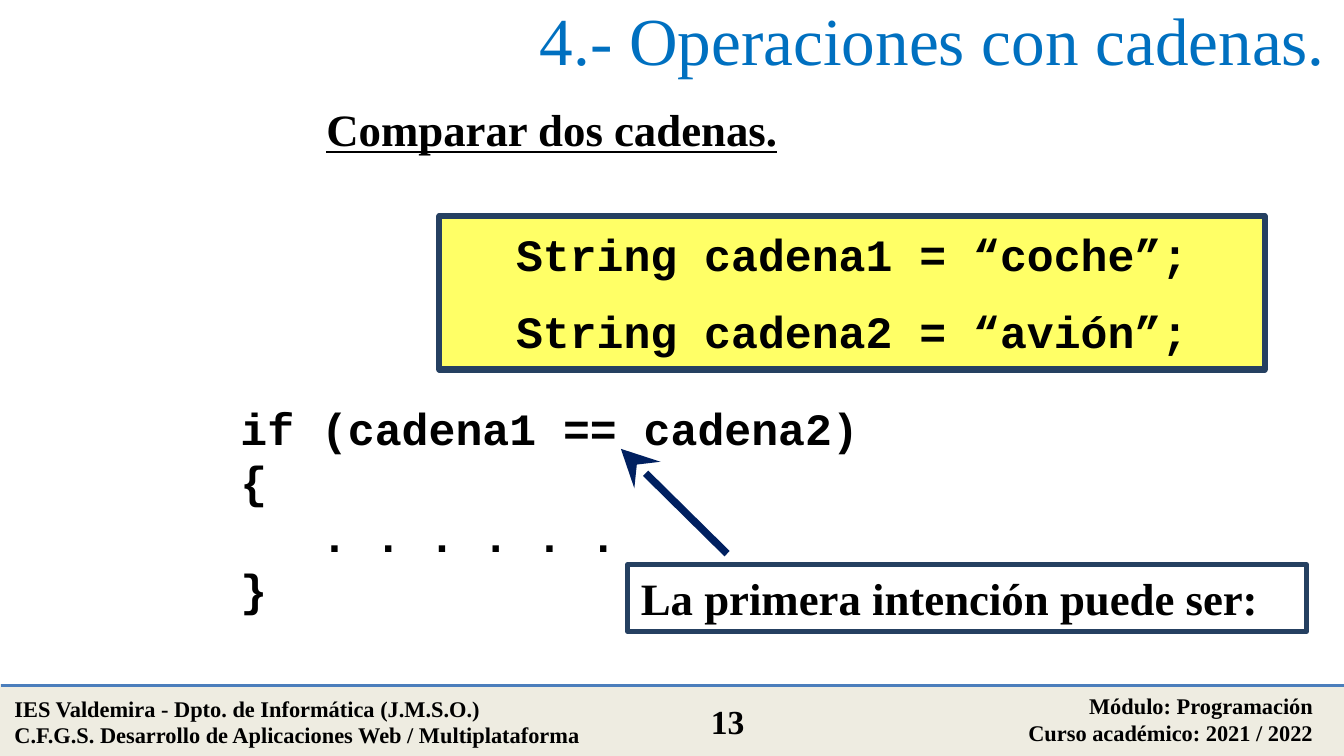
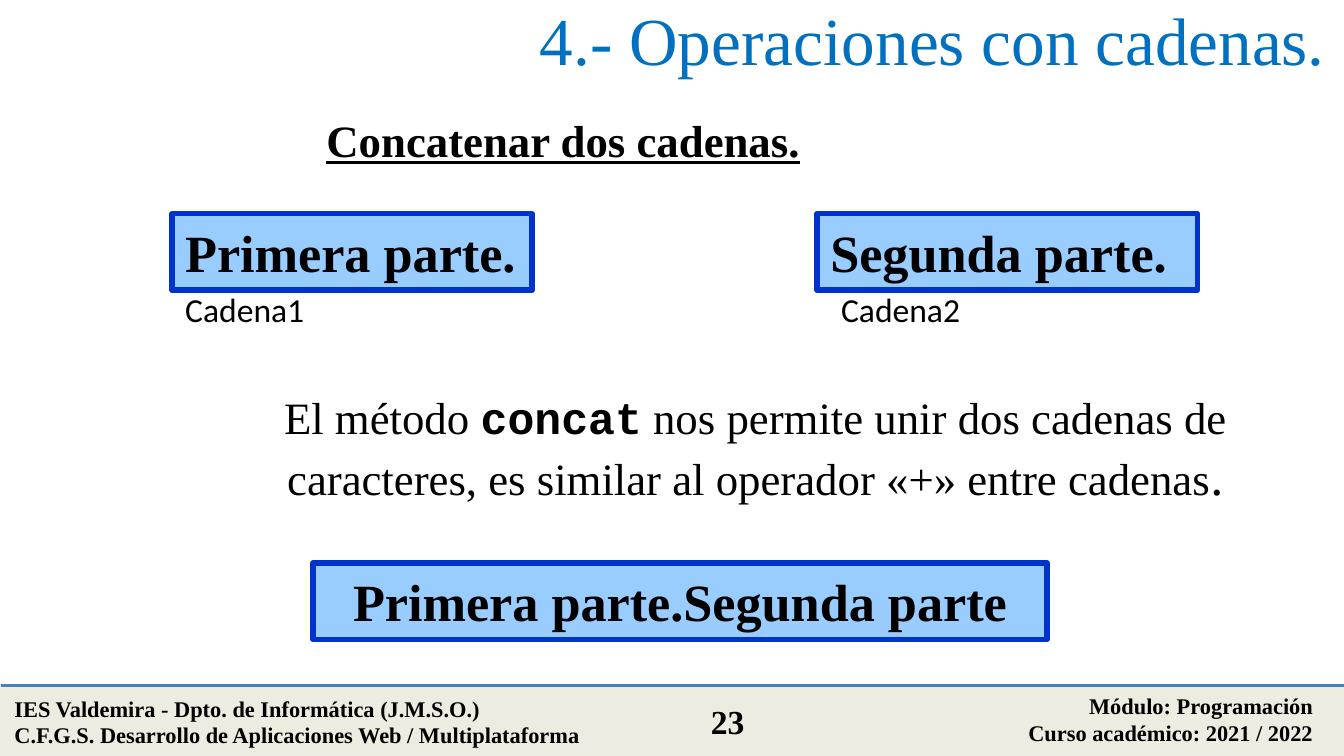
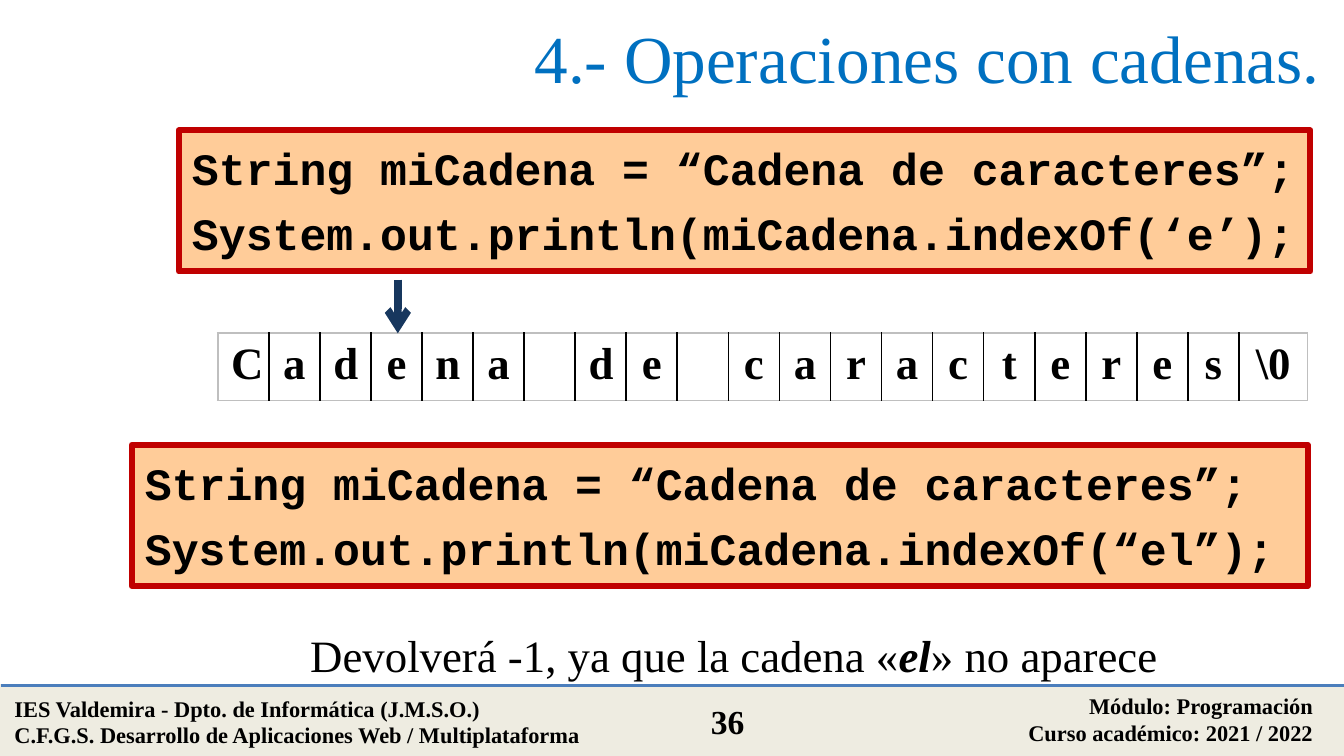
from dataclasses import dataclass
from typing import Optional

from lxml import etree
from pptx import Presentation
from pptx.dml.color import RGBColor
from pptx.enum.shapes import MSO_CONNECTOR, MSO_SHAPE
from pptx.enum.text import MSO_ANCHOR, MSO_AUTO_SIZE, PP_ALIGN
from pptx.oxml.ns import qn
from pptx.util import Inches, Pt

RECTANGLE = MSO_SHAPE.RECTANGLE
STRAIGHT = MSO_CONNECTOR.STRAIGHT
LEFT, CENTER, RIGHT, JUSTIFY = PP_ALIGN.LEFT, PP_ALIGN.CENTER, PP_ALIGN.RIGHT, PP_ALIGN.JUSTIFY
TOP, MIDDLE = MSO_ANCHOR.TOP, MSO_ANCHOR.MIDDLE
GROW, FIXED = MSO_AUTO_SIZE.SHAPE_TO_FIT_TEXT, MSO_AUTO_SIZE.NONE

BLACK = RGBColor(0x00, 0x00, 0x00)
GREY = RGBColor(0xBF, 0xBF, 0xBF)
TITLE_BLUE = RGBColor(0x00, 0x70, 0xC0)
BAND_BEIGE = RGBColor(0xEE, 0xEC, 0xE1)
RULE_BLUE = RGBColor(0x4B, 0x7E, 0xBC)
STEEL = RGBColor(0x25, 0x40, 0x61)
YELLOW = RGBColor(0xFF, 0xFF, 0x66)
NAVY = RGBColor(0x00, 0x20, 0x60)
SKY = RGBColor(0x99, 0xCC, 0xFF)
ROYAL = RGBColor(0x00, 0x33, 0xCC)
PEACH = RGBColor(0xFF, 0xCC, 0x99)
RED = RGBColor(0xC0, 0x00, 0x00)
DEEP_BLUE = RGBColor(0x17, 0x37, 0x5E)

SERIF, MONO, SANS = "Times New Roman", "Courier New", "Calibri"
TITLE = "4.- Operaciones con cadenas."


@dataclass(frozen=True)
class Span:
    text: str
    size: float = 24
    font: str = SERIF
    bold: bool = False
    italic: bool = False
    underline: bool = False
    color: RGBColor = BLACK


@dataclass(frozen=True)
class Para:
    spans: tuple[Span, ...]
    align: PP_ALIGN = LEFT
    before: float = 0
    indent: float = 0


@dataclass(frozen=True)
class Frame:
    left: float
    top: float
    width: float
    height: float


@dataclass(frozen=True)
class Style:
    fill: Optional[RGBColor]
    line: RGBColor
    weight: float
    inset: float = 0.05


DECLARATION = Style(YELLOW, STEEL, 3.25, 0.08)
REMARK = Style(None, STEEL, 2.5)
STRING_BOX = Style(SKY, ROYAL, 3)
CODE_BOX = Style(PEACH, RED, 3.25, 0.08)
BAND = Style(BAND_BEIGE, BAND_BEIGE, 2)


def line_of(text: str, size: float = 24, font: str = SERIF, bold: bool = True,
            align: PP_ALIGN = LEFT, before: float = 0, indent: float = 0,
            underline: bool = False, color: RGBColor = BLACK) -> Para:
    span = Span(text, size, font, bold, underline=underline, color=color)
    return Para((span,), align, before, indent)


def write(text_frame, paras: list[Para]) -> None:
    for number, para in enumerate(paras):
        target = text_frame.add_paragraph() if number else text_frame.paragraphs[0]
        target.alignment = para.align
        target.space_before = Pt(para.before)
        if para.indent:
            target._p.get_or_add_pPr().set("marL", str(Inches(para.indent)))
        for span in para.spans:
            run = target.add_run()
            run.text = span.text
            run.font.size = Pt(span.size)
            run.font.name = span.font
            run.font.bold = span.bold
            run.font.italic = span.italic
            run.font.underline = span.underline
            run.font.color.rgb = span.color


def place(frame: Frame) -> tuple:
    return Inches(frame.left), Inches(frame.top), Inches(frame.width), Inches(frame.height)


def add_text(page, frame: Frame, paras: list[Para], anchor=TOP, sizing=GROW) -> None:
    text_frame = page.shapes.add_textbox(*place(frame)).text_frame
    text_frame.word_wrap = True
    text_frame.auto_size = sizing
    text_frame.vertical_anchor = anchor
    write(text_frame, paras)


def add_box(page, frame: Frame, style: Style, paras: list[Para]) -> None:
    box = page.shapes.add_shape(RECTANGLE, *place(frame))
    box.shadow.inherit = False
    if style.fill is None:
        box.fill.background()
    else:
        box.fill.solid()
        box.fill.fore_color.rgb = style.fill
    box.line.color.rgb = style.line
    box.line.width = Pt(style.weight)
    if paras:
        text_frame = box.text_frame
        text_frame.word_wrap = True
        text_frame.auto_size = GROW
        text_frame.vertical_anchor = TOP
        text_frame.margin_top = text_frame.margin_bottom = Inches(style.inset)
        write(text_frame, paras)


def add_line(page, start: tuple[float, float], end: tuple[float, float],
             color: RGBColor, weight: float, head: str = "", head_size: str = "med") -> None:
    line = page.shapes.add_connector(STRAIGHT, *map(Inches, start + end))
    line.line.color.rgb = color
    line.line.width = Pt(weight)
    if head:
        etree.SubElement(line.line._get_or_add_ln(), qn("a:tailEnd"),
                         type=head, w=head_size, len=head_size)
    etree.SubElement(line._element.spPr, qn("a:effectLst"))


def set_border(cell, position: int, side: str, color: RGBColor) -> None:
    border = etree.Element(qn(f"a:ln{side}"), w=str(Pt(1)))
    fill = etree.SubElement(border, qn("a:solidFill"))
    etree.SubElement(fill, qn("a:srgbClr"), val=str(color))
    cell._tc.get_or_add_tcPr().insert(position, border)


def add_characters(page, frame: Frame, characters: list[str], column: float) -> None:
    """One cell per character; the last column takes the remaining width."""
    last = len(characters) - 1
    table = page.shapes.add_table(1, last + 1, *place(frame)).table
    table.first_row = table.horz_banding = False
    for index, character in enumerate(characters):
        width = column if index < last else frame.width - column * last
        table.columns[index].width = Inches(width)
        cell = table.cell(0, index)
        cell.fill.background()
        colors = {"L": BLACK if index else GREY, "R": BLACK if index < last else GREY,
                  "T": GREY, "B": GREY}
        for position, (side, color) in enumerate(colors.items()):
            set_border(cell, position, side, color)
        if character.strip():
            write(cell.text_frame, [line_of(character, align=CENTER)])
        else:
            cell.text_frame.paragraphs[0].font.size = Pt(24)


def add_page(deck, number: int, title_left: float = 1.28, title_top: float = -0.13):
    """Blank page with the shared footer and title."""
    page = deck.slides.add_slide(deck.slide_layouts[6])
    add_box(page, Frame(0.01, 5.1, 10, 0.52), BAND, [])
    add_line(page, (0.01, 5.1), (10.01, 5.1), RULE_BLUE, 2)
    add_text(page, Frame(0.01, 5.12, 4.66, 0.5), [
        line_of("IES Valdemira - Dpto. de Informática (J.M.S.O.)", 12),
        line_of("C.F.G.S. Desarrollo de Aplicaciones Web / Multiplataforma", 12)])
    add_text(page, Frame(5.87, 5.1, 4, 0.5), [
        line_of("Módulo: Programación", 12, align=RIGHT),
        line_of("Curso académico: 2021 / 2022", 12, align=RIGHT)])
    add_text(page, Frame(5.01, 5.17, 0.81, 0.4), [line_of(str(number), 18, align=CENTER)])
    add_text(page, Frame(title_left, title_top, 8.68, 0.84),
             [line_of(TITLE, 36, bold=False, align=RIGHT, color=TITLE_BLUE)], MIDDLE, FIXED)
    return page


def add_heading(page, frame: Frame, text: str) -> None:
    add_text(page, frame, [line_of(text, align=JUSTIFY, underline=True)])


def build_compare(deck) -> None:
    page = add_page(deck, 13)
    add_box(page, Frame(3.27, 1.61, 6.14, 1.14), DECLARATION, [
        line_of(text, font=MONO, align=CENTER, before=12)
        for text in ("String cadena1 = “coche”;", "String cadena2 = “avión”;")])
    add_heading(page, Frame(2.33, 0.71, 7.33, 0.5), "Comparar dos cadenas.")
    add_text(page, Frame(1.69, 2.93, 5.88, 1.72), [
        line_of("if (cadena1 == cadena2)", font=MONO),
        line_of("{", font=MONO),
        line_of(". . . . . .", font=MONO, indent=0.6),
        line_of("}", font=MONO)])
    add_box(page, Frame(4.67, 4.2, 5.05, 0.5), REMARK,
            [line_of("La primera intención puede ser:")])
    add_line(page, (5.41, 4.12), (4.62, 3.34), NAVY, 4, "stealth", "lg")


def build_concatenate(deck) -> None:
    page = add_page(deck, 23)
    add_heading(page, Frame(2.33, 0.79, 7.07, 0.5), "Concatenar dos cadenas.")
    # The two strings, their variable names and the joined string
    for left, width, text in ((1.28, 2.68, "Primera parte."), (6.08, 2.83, "Segunda parte.")):
        add_box(page, Frame(left, 1.59, width, 0.57), STRING_BOX, [line_of(text, 28)])
    for left, name in ((1.28, "Cadena1"), (6.16, "Cadena2")):
        add_text(page, Frame(left, 2.1, 2.44, 0.4), [line_of(name, 18, SANS, bold=False)])
    add_text(page, Frame(1.66, 2.85, 7.92, 0.98), [Para((
        Span("El método "),
        Span("concat", font=MONO, bold=True),
        Span(" nos permite unir dos cadenas de caracteres, "
             "es similar al operador «+» entre cadenas"),
        Span(".", 28)), CENTER)])
    add_box(page, Frame(2.33, 4.19, 5.46, 0.57), STRING_BOX,
            [line_of("Primera parte.Segunda parte", 28, align=CENTER)])


def build_index_of(deck) -> None:
    page = add_page(deck, 36, 1.24, 0)
    # Searches for one character and for a substring
    for frame, argument in ((Frame(1.33, 0.97, 8.42, 1.05), "‘e’"),
                            (Frame(0.98, 3.31, 8.75, 1.05), "“el”")):
        add_box(page, frame, CODE_BOX, [
            line_of("String miCadena = “Cadena de caracteres”;", font=MONO, before=12),
            line_of(f"System.out.println(miCadena.indexOf({argument});", font=MONO, before=6)])
    # Characters of the string, with the first match marked
    add_characters(page, Frame(1.62, 2.48, 8.11, 0.5),
                   [*"Cadena de caracteres", "\\0"], 0.38)
    add_line(page, (2.96, 2.08), (2.96, 2.48), DEEP_BLUE, 4, "arrow")
    add_text(page, Frame(1.06, 4.62, 8.8, 0.5), [Para((
        Span("Devolverá -1, ya que la cadena «"),
        Span("el", bold=True, italic=True),
        Span("» no aparece")), CENTER)])


def main() -> None:
    deck = Presentation()
    # Widescreen page, 16 to 9
    deck.slide_width = Inches(10)
    deck.slide_height = Inches(10 * 9 / 16)
    build_compare(deck)
    build_concatenate(deck)
    build_index_of(deck)
    deck.save("out.pptx")


if __name__ == "__main__":
    main()
